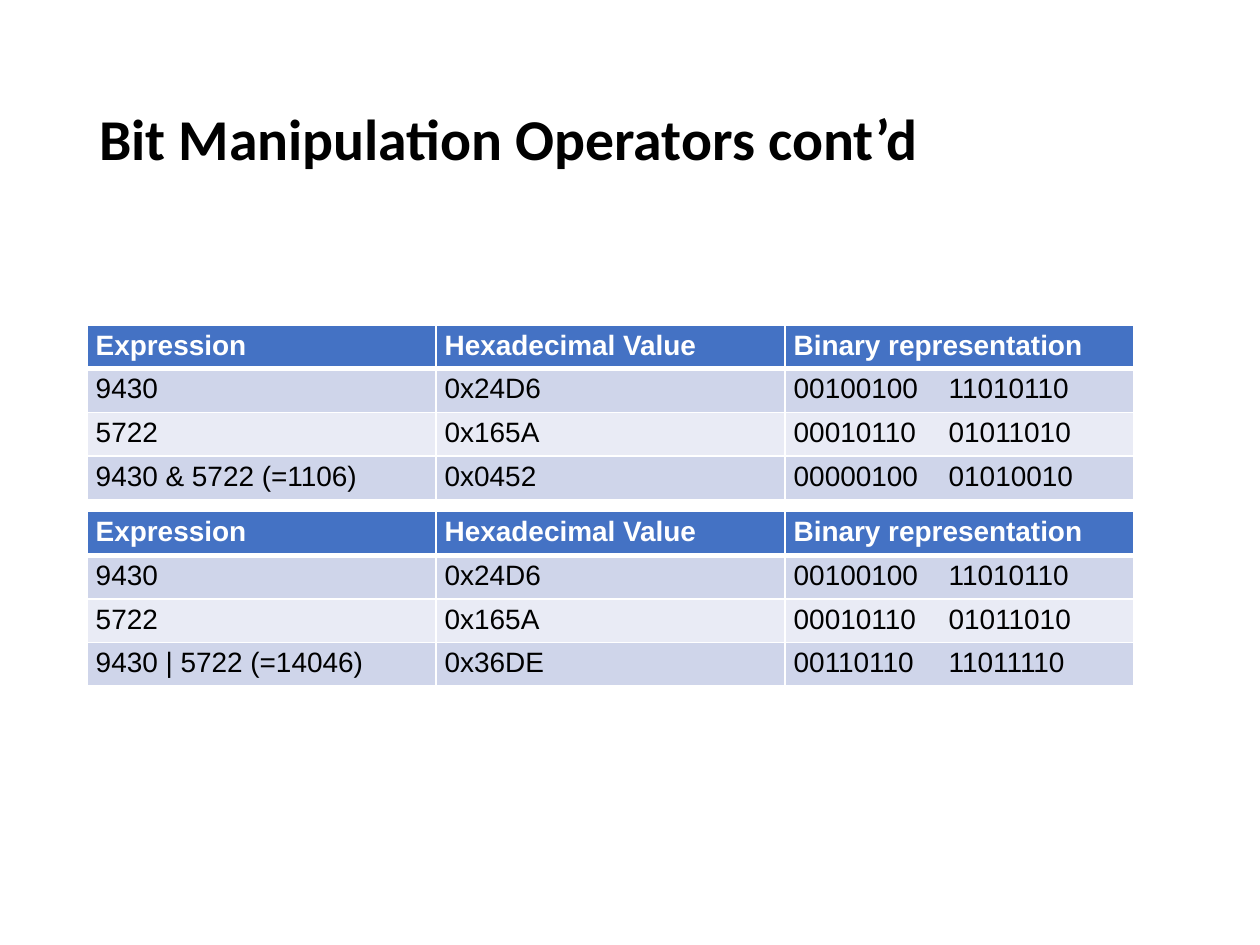
from dataclasses import dataclass

from lxml import etree
from pptx import Presentation
from pptx import util as u
from pptx.dml.color import RGBColor
from pptx.enum import text
from pptx.oxml import ns


@dataclass(frozen=True)
class Theme:
    title_font: str = "Calibri"
    body_font: str = "Arial"
    title_size: int = 33
    body_size: int = 16
    black: str = "000000"
    white: str = "FFFFFF"
    header: str = "4472C4"
    bands: tuple = ("CFD5EA", "E9EBF5")


THEME = Theme()
LEFT = 0.69
COLUMN_WIDTH = 2.77
ROW_HEIGHT = 0.3
BYTE_TAB = 1.23
HEADERS = ("Expression", "Hexadecimal Value", "Binary representation")
OPERANDS = (
    ("9430", "0x24D6", "00100100\t11010110"),
    ("5722", "0x165A", "00010110\t01011010"),
)
TABLES = (
    (2.58, ("9430 & 5722 (=1106)", "0x0452", "00000100\t01010010")),
    (4.06, ("9430 | 5722 (=14046)", "0x36DE", "00110110\t11011110")),
)


def format_runs(p, font, size, color, bold):
    for r in p.runs:
        r.font.name = font
        r.font.size = u.Pt(size)
        r.font.bold = bold
        r.font.color.rgb = RGBColor.from_string(color)


def add_title(s, words):
    tf = s.shapes.add_textbox(
        u.Inches(LEFT), u.Inches(0.4), u.Inches(8.62), u.Inches(1.45)
    ).text_frame
    tf.word_wrap = True
    tf.vertical_anchor = text.MSO_ANCHOR.MIDDLE
    tf.text = words
    p = tf.paragraphs[0]
    p.line_spacing = 0.9
    format_runs(p, THEME.title_font, THEME.title_size, THEME.black, True)


def add_tab_stop(p, inches):
    tabs = etree.SubElement(p._p.get_or_add_pPr(), ns.qn("a:tabLst"))
    etree.SubElement(tabs, ns.qn("a:tab"), pos=str(u.Inches(inches)), algn="l")


def set_borders(cell, widths):
    properties = cell._tc.get_or_add_tcPr()
    for side, width in widths.items():
        line = etree.SubElement(properties, ns.qn(f"a:ln{side}"), w=str(u.Pt(width)))
        fill = etree.SubElement(line, ns.qn("a:solidFill"))
        etree.SubElement(fill, ns.qn("a:srgbClr"), val=THEME.white)


def format_cell(cell, words, row):
    is_header = row == 0
    cell.margin_left = cell.margin_right = u.Inches(0.07)
    cell.margin_top = cell.margin_bottom = u.Inches(0.04)
    top = 3 if row == 1 else 1
    bottom = 3 if is_header else 1
    set_borders(cell, {"L": 1, "R": 1, "T": top, "B": bottom})
    cell.fill.solid()
    fill = THEME.header if is_header else THEME.bands[(row - 1) % 2]
    cell.fill.fore_color.rgb = RGBColor.from_string(fill)
    cell.text = words
    p = cell.text_frame.paragraphs[0]
    if "\t" in words:
        add_tab_stop(p, BYTE_TAB)
    color = THEME.white if is_header else THEME.black
    format_runs(p, THEME.body_font, THEME.body_size, color, is_header)


def add_bit_table(s, top, result):
    rows = (HEADERS, *OPERANDS, result)
    table = s.shapes.add_table(
        len(rows), len(HEADERS), u.Inches(LEFT), u.Inches(top),
        u.Inches(COLUMN_WIDTH * len(HEADERS)), u.Inches(ROW_HEIGHT * len(rows)),
    ).table
    for column in table.columns:
        column.width = u.Inches(COLUMN_WIDTH)
    for i, values in enumerate(rows):
        table.rows[i].height = u.Inches(ROW_HEIGHT)
        for j, words in enumerate(values):
            format_cell(table.cell(i, j), words, i)


def main():
    prs = Presentation()
    prs.slide_width, prs.slide_height = u.Inches(10), u.Inches(7.5)
    s = prs.slides.add_slide(prs.slide_layouts[6])
    add_title(s, "Bit Manipulation Operators cont’d")
    for top, result in TABLES:
        add_bit_table(s, top, result)
    prs.save("out.pptx")


if __name__ == "__main__":
    main()
